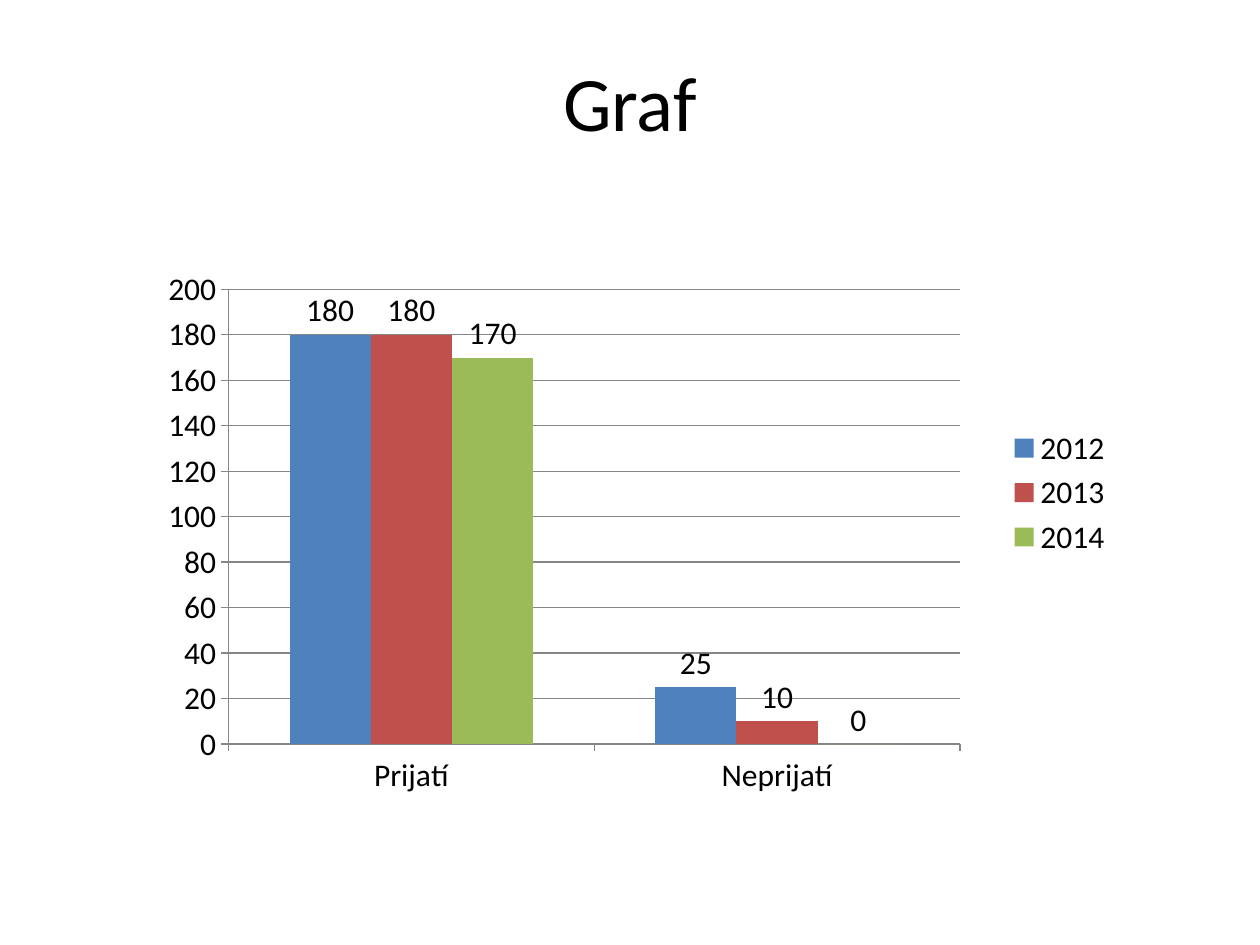
from lxml import etree
from pptx import Presentation
from pptx.chart.data import CategoryChartData
from pptx.dml.color import RGBColor
from pptx.enum.chart import XL_CHART_TYPE, XL_LABEL_POSITION, XL_LEGEND_POSITION, XL_TICK_MARK
from pptx.enum.text import MSO_ANCHOR, PP_ALIGN
from pptx.oxml.ns import qn
from pptx.util import Pt

COLUMNS = XL_CHART_TYPE.COLUMN_CLUSTERED
OUTSIDE_END = XL_LABEL_POSITION.OUTSIDE_END
RIGHT = XL_LEGEND_POSITION.RIGHT
TICK_OUT = XL_TICK_MARK.OUTSIDE
MIDDLE = MSO_ANCHOR.MIDDLE
CENTER = PP_ALIGN.CENTER

BLACK = RGBColor(0x00, 0x00, 0x00)
GRAY = RGBColor(0x86, 0x86, 0x86)
BLUE = RGBColor(0x4F, 0x81, 0xBD)
RED = RGBColor(0xC0, 0x50, 0x4D)
GREEN = RGBColor(0x9B, 0xBB, 0x59)
FONT = "Calibri"

YEARS = [
    ("2012", (180, 25), BLUE),
    ("2013", (180, 10), RED),
    ("2014", (170, 0), GREEN),
]

prs = Presentation()
prs.slide_width, prs.slide_height = Pt(720), Pt(540)
s = prs.slides.add_slide(prs.slide_layouts[6])

sp = s.shapes.add_textbox(Pt(54), Pt(26), Pt(612), Pt(62.5))
tf = sp.text_frame
tf.word_wrap = True
tf.vertical_anchor = MIDDLE
p = tf.paragraphs[0]
p.alignment = CENTER
r = p.add_run()
r.text = "Graf"
r.font.name = FONT
r.font.size = Pt(44)
r.font.color.rgb = BLACK

data = CategoryChartData()
data.categories = ["Prijatí", "Neprijatí"]
for year, values, color in YEARS:
    data.add_series(year, values)

chart = s.shapes.add_chart(COLUMNS, Pt(70.5), Pt(100), Pt(572.5), Pt(363), data).chart
chart.has_title = False
chart.font.name = FONT
chart.font.size = Pt(18)
chart.font.color.rgb = BLACK
chart.has_legend = True
chart.legend.position = RIGHT
chart.legend.include_in_layout = False

plot = chart.plots[0]
plot.vary_by_categories = False
plot.gap_width = 150
plot.overlap = 0
for series, (year, values, color) in zip(plot.series, YEARS):
    series.format.fill.solid()
    series.format.fill.fore_color.rgb = color
    labels = series.data_labels
    labels.show_value = True
    labels.position = OUTSIDE_END

value_axis = chart.value_axis
value_axis.minimum_scale = 0
value_axis.maximum_scale = 200
value_axis.major_unit = 20
value_axis.has_major_gridlines = True
for axis in (chart.category_axis, value_axis):
    axis.major_tick_mark = TICK_OUT
for part in (chart.category_axis, value_axis, value_axis.major_gridlines):
    part.format.line.color.rgb = GRAY
    part.format.line.width = Pt(0.75)

plot_area = chart.plots[0]._element.getparent()
for old in plot_area.findall(qn("c:layout")):
    plot_area.remove(old)
layout = etree.Element(qn("c:layout"))
manual = etree.SubElement(layout, qn("c:manualLayout"))
for tag, val in [("layoutTarget", "inner"), ("xMode", "edge"), ("yMode", "edge"),
                 ("x", "0.105"), ("y", "0.18"), ("w", "0.73"), ("h", "0.716")]:
    etree.SubElement(manual, qn("c:" + tag)).set("val", val)
plot_area.insert(0, layout)

prs.save("out.pptx")
